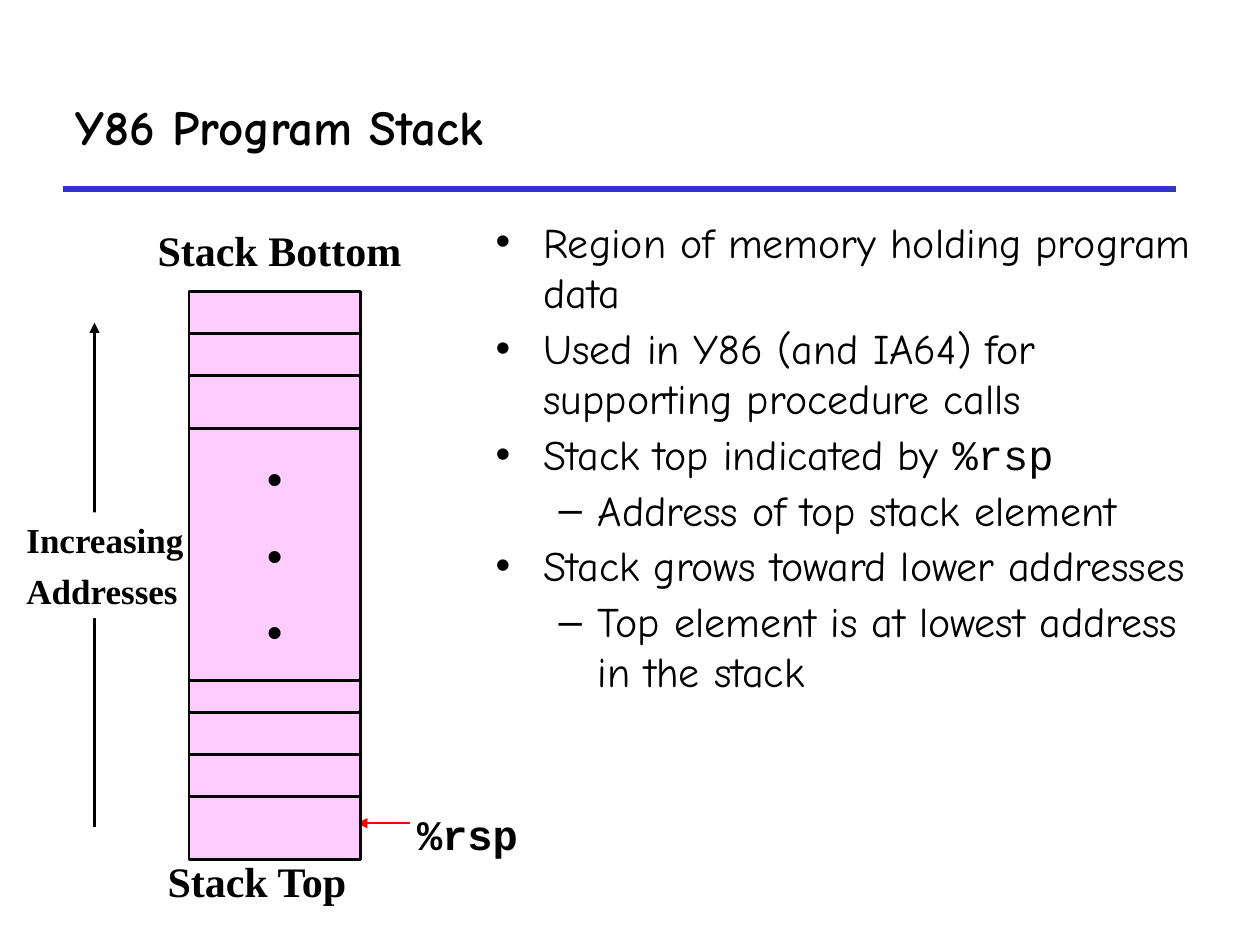
import pptx
import pptx.dml.color
import pptx.enum.shapes
import pptx.enum.text
import pptx.oxml.ns
import pptx.util
from lxml import etree

COLORS = {"black": "000000", "white": "FFFFFF", "rule": "3333CC",
          "cell": "FFCCFF", "pointer": "FF0002"}
ALIGN = pptx.enum.text.PP_ALIGN
ANCHOR = pptx.enum.text.MSO_ANCHOR
RECTANGLE = pptx.enum.shapes.MSO_SHAPE.RECTANGLE
STRAIGHT = pptx.enum.shapes.MSO_CONNECTOR.STRAIGHT
qn = pptx.oxml.ns.qn

presentation = pptx.Presentation()
presentation.slide_width = pptx.util.Inches(10)
presentation.slide_height = pptx.util.Inches(7.5)
slide = presentation.slides.add_slide(presentation.slide_layouts[1])
UNIT = presentation.slide_width / 60  # the slide is a grid of 60 columns by 45 rows


def grid(*lengths):
    return [round(length * UNIT) for length in lengths]


def write(shape, paragraphs, size=24, font="Times New Roman", bold=True, before=0,
          align=ALIGN.LEFT, anchor=ANCHOR.TOP, inset=0.05, wrap=True):
    """Fill a shape with (level, bullet, [(text, font or None), ...]) or plain strings."""
    frame = shape.text_frame
    frame.word_wrap = wrap
    frame.auto_size = pptx.enum.text.MSO_AUTO_SIZE.NONE
    frame.vertical_anchor = anchor
    frame.margin_left = frame.margin_right = pptx.util.Inches(inset)
    frame.margin_top = frame.margin_bottom = pptx.util.Inches(0.05)
    for index, item in enumerate(paragraphs):
        level, bullet, runs = (0, None, [(item, None)]) if isinstance(item, str) else item
        paragraph = frame.paragraphs[0] if index == 0 else frame.add_paragraph()
        paragraph.level = level
        paragraph.alignment = align
        paragraph.space_before = pptx.util.Pt(before if index else 0)
        if bullet:
            properties = paragraph._p.get_or_add_pPr()
            margin, indent = (0.81, -0.31) if level else (0.38, -0.38)
            properties.set("marL", str(pptx.util.Inches(margin)))
            properties.set("indent", str(pptx.util.Inches(indent)))
            etree.SubElement(properties, qn("a:buChar")).set("char", bullet)
        for text, run_font in runs:
            run = paragraph.add_run()
            run.text = text
            run.font.name = run_font or font
            run.font.size = pptx.util.Pt(size)
            run.font.bold = bold
            run.font.color.rgb = pptx.dml.color.RGBColor.from_string(COLORS["black"])


# Title and bullet list
title, body = slide.placeholders[0], slide.placeholders[1]
title.left, title.top, title.width, title.height = grid(3, 3, 53, 6)
write(title, ["Y86 Program Stack"], size=28, font="Comic Neue",
      anchor=ANCHOR.MIDDLE, inset=0.1)
body.left, body.top, body.width, body.height = grid(23, 10, 34.5, 28)
write(body, [
    (0, "•", [("Region of memory holding program data", None)]),
    (0, "•", [("Used in Y86 (and IA64) for supporting procedure calls", None)]),
    (0, "•", [("Stack top indicated by ", None), ("%rsp", "Courier New")]),
    (1, "–", [("Address of top stack element", None)]),
    (0, "•", [("Stack grows toward lower addresses", None)]),
    (1, "–", [("Top element is at lowest address in the stack", None)]),
], font="Comic Neue", bold=False, before=3, inset=0.1)

# Title rule, address arrow and stack pointer
for start_x, start_y, end_x, end_y, color, width, arrow in [
        (3, 9, 56, 9, "rule", 3, False),
        (4.5, 39.4, 4.5, 15.36, "black", 1.5, True),
        (19.5, 39.2, 17, 39.2, "pointer", 1.5, True)]:
    connector = slide.shapes.add_connector(STRAIGHT, *grid(start_x, start_y, end_x, end_y))
    connector.line.color.rgb = pptx.dml.color.RGBColor.from_string(COLORS[color])
    connector.line.width = pptx.util.Pt(width)
    if arrow:
        etree.SubElement(connector.line._get_or_add_ln(), qn("a:tailEnd")).set("type", "triangle")
    etree.SubElement(connector._element.spPr, qn("a:effectLst"))

# Address label, then the stack cells from top to bottom and the gap between them
label = slide.shapes.add_shape(RECTANGLE, *grid(0.96, 24.4, 9, 5.04))
cell_group = slide.shapes.add_group_shape()
cell_tops = [13.88 + 2 * row for row in range(3)] + [31.92 + 2 * row for row in range(4)]
cells = [cell_group.shapes.add_shape(RECTANGLE, *grid(9, top, 8.16, 3)) for top in cell_tops]
gap = slide.shapes.add_shape(RECTANGLE, *grid(9, 20.4, 8.16, 12))
for shape in [label, *cells, gap]:
    shape.shadow.inherit = False
    shape.fill.solid()
    shape.fill.fore_color.rgb = pptx.dml.color.RGBColor.from_string(
        COLORS["white" if shape is label else "cell"])
    if shape is label:
        shape.line.fill.background()
    else:
        shape.line.color.rgb = pptx.dml.color.RGBColor.from_string(COLORS["black"])
        shape.line.width = pptx.util.Pt(1.5)
write(label, ["Increasing", "Addresses"], size=20, before=5)
write(gap, ["•"] * 3, font="Courier New", before=15, align=ALIGN.CENTER, anchor=ANCHOR.MIDDLE)

# Stack captions
for text, left, top, width, font, wrap in [
        ("Stack Bottom", 7.2, 10.4, 16, "Times New Roman", True),
        ("Stack Top", 7.68, 40.44, 15, "Times New Roman", True),
        ("%rsp", 19.56, 38.2, 5.46, "Courier New", False)]:
    caption = slide.shapes.add_textbox(*grid(left, top, width, 3.06))
    write(caption, [text], font=font, wrap=wrap)

presentation.save("out.pptx")
